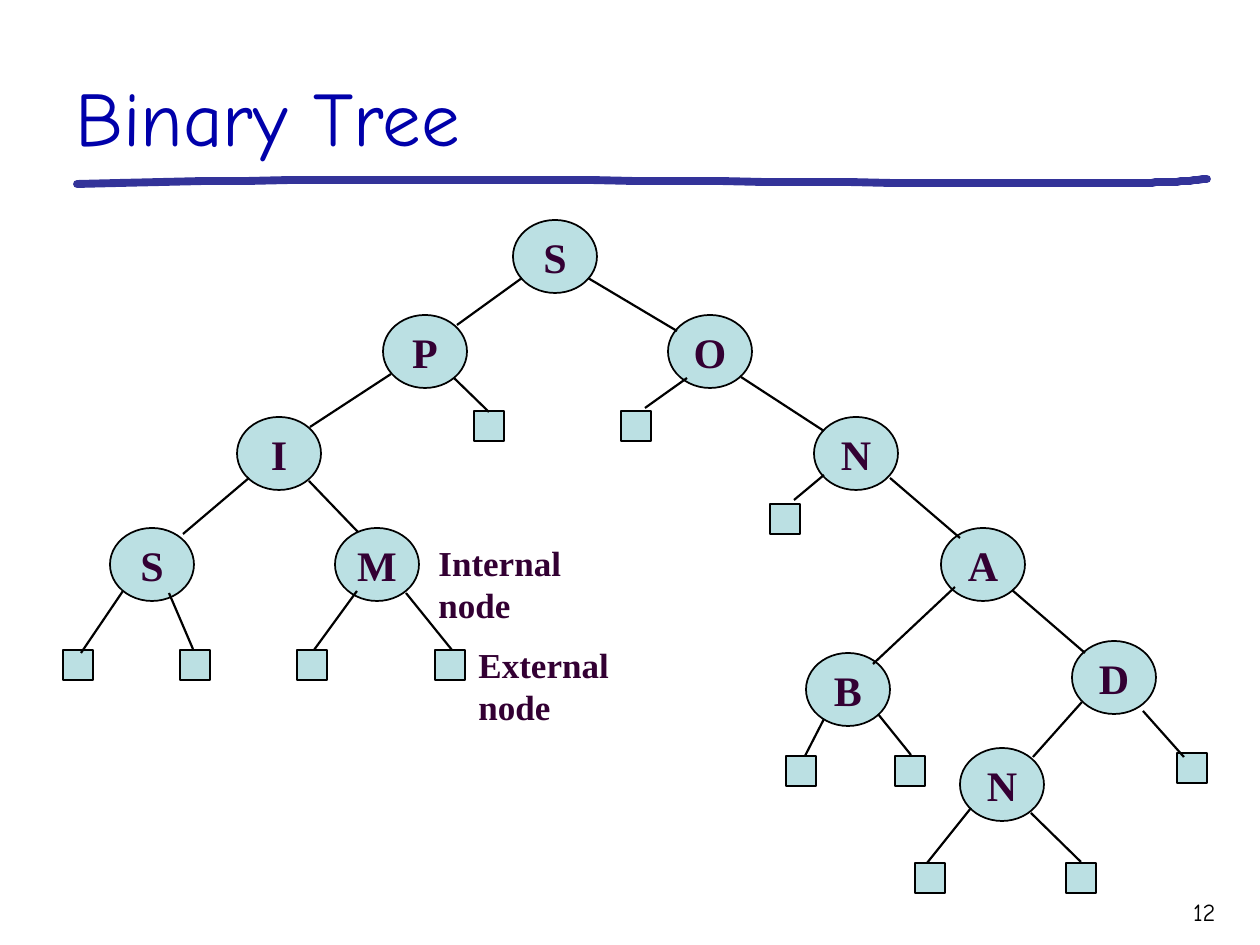
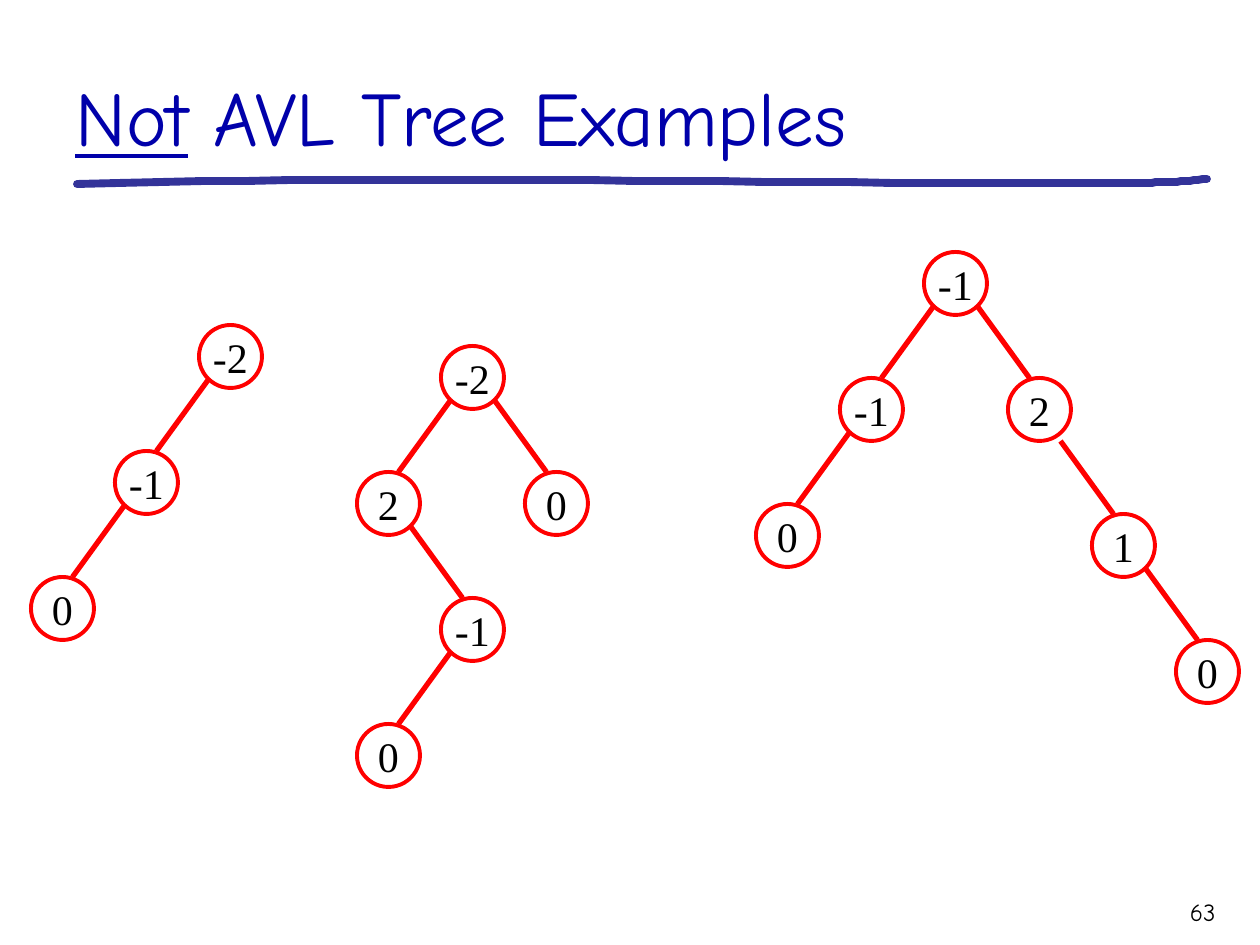
from pptx import Presentation
from pptx.dml.color import RGBColor
from pptx.enum.shapes import MSO_CONNECTOR, MSO_SHAPE
from pptx.enum.text import MSO_ANCHOR, PP_ALIGN
from pptx.oxml.ns import qn
from pptx.util import Pt
from lxml import etree

PX = 914400 / 126
TITLE_BLUE = RGBColor(0x00, 0x00, 0xAA)
BAND_BLUE = RGBColor(0x33, 0x33, 0x99)
PALE_TEAL = RGBColor(0xBB, 0xE0, 0xE3)
PLUM = RGBColor(0x33, 0x00, 0x33)
RED = RGBColor(0xFF, 0x00, 0x00)
BLACK = RGBColor(0x00, 0x00, 0x00)
TITLE_FONT, TREE_FONT = "Comic Neue", "Times New Roman"


def add_text(sp, text, size, color, font, bold=False, align=PP_ALIGN.LEFT):
    p = sp.text_frame.paragraphs[0]
    p.alignment = align
    p.font.size, p.font.name, p.font.bold = Pt(size), font, bold
    p.font.color.rgb = color
    p.add_run().text = text
    return p


def add_edge(slide, x1, y1, x2, y2, color, width):
    ends = [round(v * PX) for v in (x1, y1, x2, y2)]
    line = slide.shapes.add_connector(MSO_CONNECTOR.STRAIGHT, *ends)
    line.line.color.rgb, line.line.width = color, Pt(width)
    etree.SubElement(line._element.spPr, qn("a:effectLst"))


prs = Presentation()
prs.slide_width, prs.slide_height = round(1260 * PX), round(945 * PX)

# Hand-drawn title rule: two cubic curves, sampled
curves = [((77, 184), (419, 175), (762, 184), (1104, 183)),
          ((1104, 183), (1139, 183), (1173, 183), (1207, 179))]
rule_points = []
for a, b, c, d in curves:
    for i in range(25):
        t = i / 24
        weights = ((1 - t) ** 3, 3 * t * (1 - t) ** 2, 3 * t * t * (1 - t), t ** 3)
        rule_points.append(tuple(sum(w * q[k] for w, q in zip(weights, (a, b, c, d)))
                                 for k in (0, 1)))

# Shared frame: rule, title, page number
slides = []
for title_runs, page in [([("Binary Tree", False)], "12"),
                         ([("Not", True), (" AVL Tree Examples", False)], "63")]:
    slide = prs.slides.add_slide(prs.slide_layouts[6])
    slides.append(slide)

    fb = slide.shapes.build_freeform(*rule_points[0], scale=PX)
    fb.add_line_segments(rule_points[1:], close=False)
    rule = fb.convert_to_shape()
    rule.shadow.inherit = False
    rule.fill.background()
    rule.line.color.rgb, rule.line.width = BAND_BLUE, Pt(4.5)
    ln = rule.line._get_or_add_ln()
    ln.set("cap", "rnd")
    etree.SubElement(ln, qn("a:round"))

    title = slide.shapes.add_textbox(*[round(v * PX) for v in (63, 21, 1166, 147)])
    title.text_frame.word_wrap = True
    title.text_frame.vertical_anchor = MSO_ANCHOR.BOTTOM
    p = add_text(title, title_runs[0][0], 44, TITLE_BLUE, TITLE_FONT)
    for text, _ in title_runs[1:]:
        p.add_run().text = text
    for r, (_, underlined) in zip(p.runs, title_runs):
        r.font.underline = underlined

    number = slide.shapes.add_textbox(*[round(v * PX) for v in (1102, 891, 126, 44)])
    number.text_frame.word_wrap = True
    add_text(number, page, 14, BLACK, TITLE_FONT, align=PP_ALIGN.RIGHT)

binary, not_avl = slides

# Binary tree: internal nodes, then external nodes
internal = [("S", 513, 220), ("P", 383, 315), ("O", 668, 315), ("I", 237, 417),
            ("N", 814, 417), ("S", 110, 528), ("M", 335, 528), ("A", 941, 528),
            ("B", 806, 653), ("D", 1072, 641), ("N", 960, 748)]
external = [(474, 411), (621, 411), (770, 504), (63, 650), (180, 650), (297, 650),
            (435, 650), (786, 756), (895, 756), (1177, 753), (915, 863), (1066, 863)]
nodes = [(MSO_SHAPE.OVAL, text, x, y, 84, 73) for text, x, y in internal]
nodes += [(MSO_SHAPE.RECTANGLE, "", x, y, 30, 30) for x, y in external]
for kind, text, *box in nodes:
    sp = binary.shapes.add_shape(kind, *[round(v * PX) for v in box])
    sp.shadow.inherit = False
    sp.fill.solid()
    sp.fill.fore_color.rgb = PALE_TEAL
    sp.line.color.rgb, sp.line.width = BLACK, Pt(1)
    if text:
        sp.text_frame.word_wrap = False
        add_text(sp, text, 24, PLUM, TREE_FONT, True, PP_ALIGN.CENTER)

# Binary tree: edges
for edge in [(522, 278, 457, 325), (588, 278, 677, 331),
             (391, 374, 310, 427), (454, 378, 489, 412),
             (687, 378, 645, 408), (741, 377, 824, 431),
             (249, 478, 183, 534), (309, 481, 358, 532),
             (824, 475, 794, 500), (890, 478, 960, 538),
             (123, 591, 81, 653), (169, 593, 193, 649),
             (357, 591, 314, 650), (406, 593, 452, 650),
             (955, 587, 873, 664), (1012, 590, 1085, 653),
             (824, 719, 805, 756), (878, 714, 911, 755),
             (1082, 702, 1033, 757), (1143, 711, 1184, 757),
             (971, 808, 927, 863), (1031, 813, 1081, 862)]:
    add_edge(binary, *edge, BLACK, 1.25)

# Binary tree: labels
for text, x, y in [("Internal node", 426, 535), ("External node", 466, 637)]:
    label = binary.shapes.add_textbox(*[round(v * PX) for v in (x, y, 220, 97)])
    label.text_frame.word_wrap = True
    add_text(label, text, 20, PLUM, TREE_FONT, True)

# Not AVL trees: origin, then (balance, column, level, side of parent)
LEFT, ROOT, RIGHT = -1, 0, 1
COLUMN, LEVEL, NODE = 84, 126, 63
trees = [
    (199, 325, [("-2", 0, 0, ROOT), ("-1", -1, 1, LEFT), ("0", -2, 2, LEFT)]),
    (441, 346, [("-2", 0, 0, ROOT), ("2", -1, 1, LEFT), ("0", 1, 1, RIGHT),
                ("-1", 0, 2, RIGHT), ("0", -1, 3, LEFT)]),
    (924, 252, [("-1", 0, 0, ROOT), ("-1", -1, 1, LEFT), ("2", 1, 1, RIGHT),
                ("0", -2, 2, LEFT)]),
    (924, 262, [("1", 2, 2, RIGHT), ("0", 3, 3, RIGHT)]),  # lower branch
]
for left, top, members in trees:
    for balance, column, level, side in members:
        x, y = left + column * COLUMN, top + level * LEVEL
        sp = not_avl.shapes.add_shape(MSO_SHAPE.OVAL,
                                      *[round(v * PX) for v in (x, y, NODE, NODE)])
        sp.shadow.inherit = False
        sp.fill.background()
        sp.line.color.rgb, sp.line.width = RED, Pt(2.25)
        sp.text_frame.word_wrap = False
        add_text(sp, balance, 24, BLACK, TREE_FONT, align=PP_ALIGN.CENTER)
        if side != ROOT:
            middle = x + NODE / 2
            add_edge(not_avl, middle - side * 63, y - 73, middle - side * 10, y, RED, 3)

prs.save("out.pptx")
